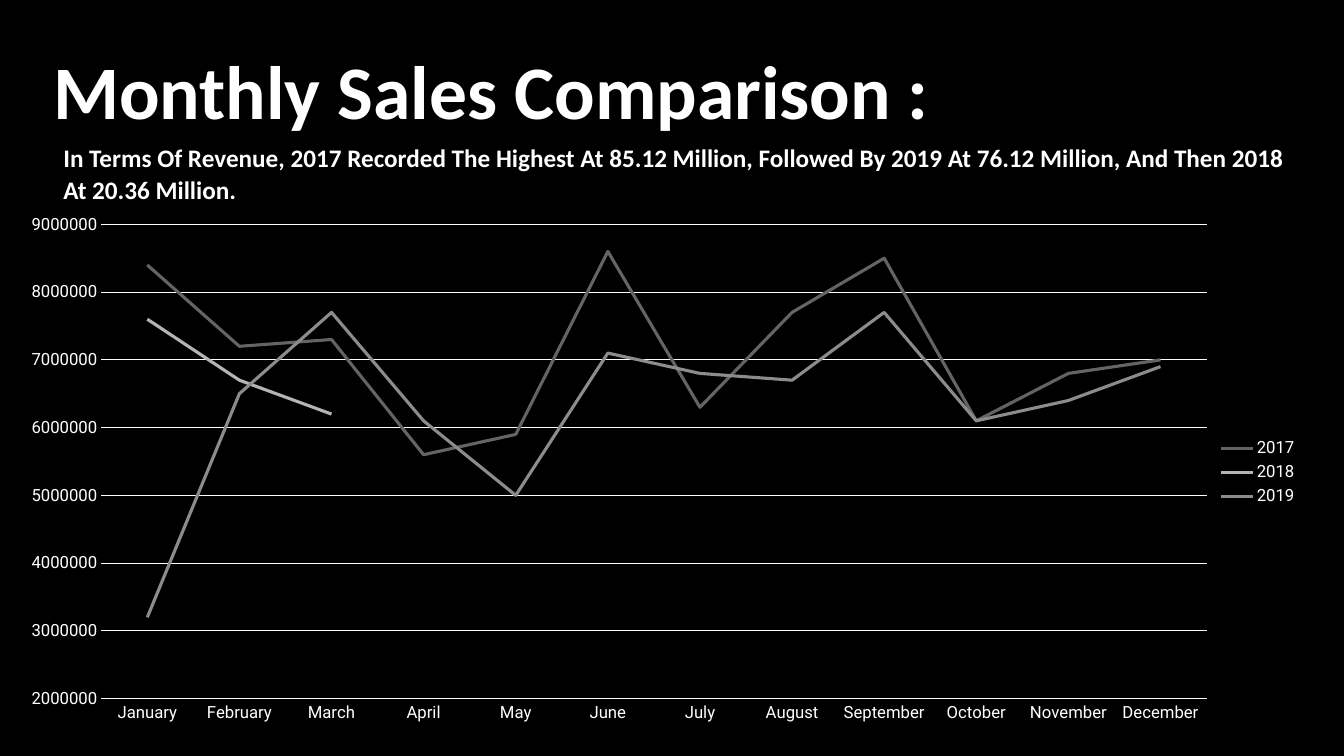
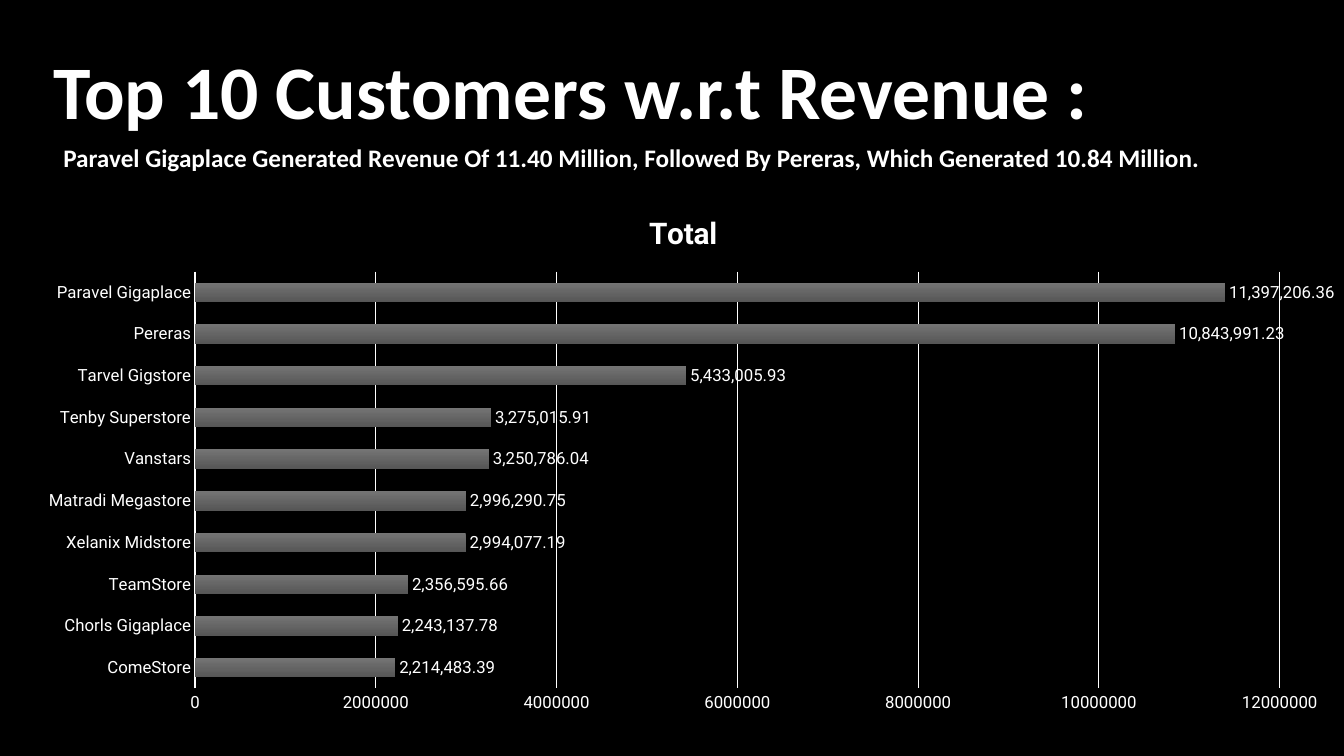
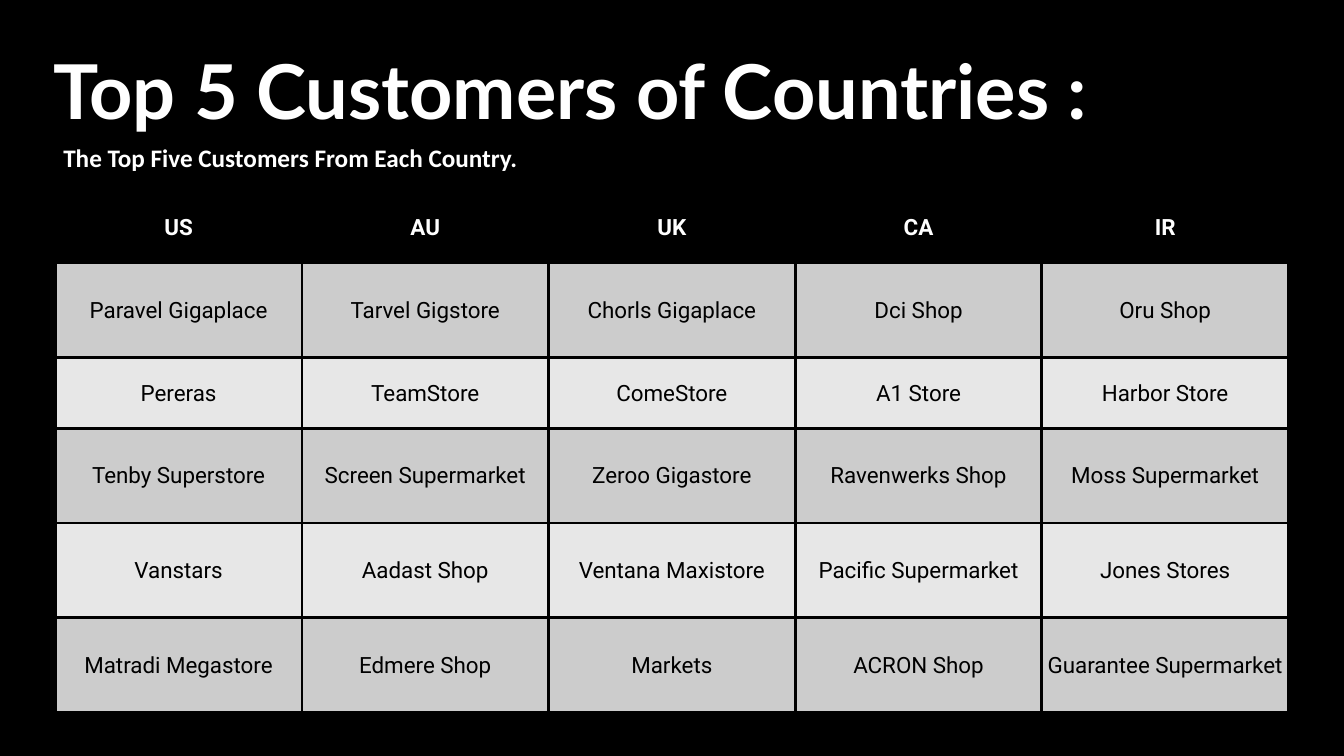
from lxml.etree import SubElement
from pptx import Presentation
from pptx.chart.data import CategoryChartData
from pptx.dml.color import RGBColor
from pptx.enum.chart import XL_CHART_TYPE, XL_LABEL_POSITION, XL_LEGEND_POSITION, XL_TICK_MARK
from pptx.enum.text import MSO_ANCHOR, MSO_AUTO_SIZE, PP_ALIGN
from pptx.oxml import parse_xml
from pptx.oxml.ns import nsdecls, qn
from pptx.util import Pt

BLACK = RGBColor(0x00, 0x00, 0x00)
WHITE = RGBColor(0xFF, 0xFF, 0xFF)
BAND_DARK = RGBColor(0xCC, 0xCC, 0xCC)
BAND_LIGHT = RGBColor(0xE7, 0xE7, 0xE7)
BAR_TOP = RGBColor(0x74, 0x74, 0x74)
BAR_BOTTOM = RGBColor(0x56, 0x56, 0x56)
YEAR_COLORS = (
    RGBColor(0x64, 0x64, 0x64),
    RGBColor(0xB4, 0xB4, 0xB4),
    RGBColor(0x8C, 0x8C, 0x8C),
)
HEAD_FONT = "Calibri"
DATA_FONT = "Roboto"

TITLE_BOX = (38, 31, 784, 65.5)
NOTE_LEFT, NOTE_TOP, NOTE_WIDTH = 38, 96.5, 896

MONTHS = ["January", "February", "March", "April", "May", "June", "July",
          "August", "September", "October", "November", "December"]
MONTHLY_SALES_MILLIONS = {
    "2017": [8.4, 7.2, 7.3, 5.6, 5.9, 8.6, 6.3, 7.7, 8.5, 6.1, 6.8, 7.0],
    "2018": [7.6, 6.7, 6.2] + [None] * 9,
    "2019": [3.2, 6.5, 7.7, 6.1, 5.0, 7.1, 6.8, 6.7, 7.7, 6.1, 6.4, 6.9],
}
CUSTOMER_REVENUE = {
    "ComeStore": 2214483.39,
    "Chorls Gigaplace": 2243137.78,
    "TeamStore": 2356595.66,
    "Xelanix Midstore": 2994077.19,
    "Matradi Megastore": 2996290.75,
    "Vanstars": 3250786.04,
    "Tenby Superstore": 3275015.91,
    "Tarvel Gigstore": 5433005.93,
    "Pereras": 10843991.23,
    "Paravel Gigaplace": 11397206.36,
}
COUNTRY_CUSTOMERS = {
    "US": ["Paravel Gigaplace", "Pereras", "Tenby Superstore", "Vanstars", "Matradi Megastore"],
    "AU": ["Tarvel Gigstore", "TeamStore", "Screen Supermarket", "Aadast Shop", "Edmere Shop"],
    "UK": ["Chorls Gigaplace", "ComeStore", "Zeroo Gigastore", "Ventana Maxistore", "Markets"],
    "CA": ["Dci Shop", "A1 Store", "Ravenwerks Shop", "Pacific Supermarket", "ACRON Shop"],
    "IR": ["Oru Shop", "Harbor Store", "Moss Supermarket", "Jones Stores", "Guarantee Supermarket"],
}


def style_font(font, size, color=WHITE, bold=False, name=DATA_FONT):
    font.name = name
    font.size = Pt(size)
    font.bold = bold
    font.color.rgb = color


def place(sp, box):
    sp.left, sp.top, sp.width, sp.height = map(Pt, box)


def fill_placeholder(sp, box, text, size, font_name):
    place(sp, box)
    tf = sp.text_frame
    tf.word_wrap = True
    tf.auto_size = MSO_AUTO_SIZE.SHAPE_TO_FIT_TEXT
    tf.vertical_anchor = MSO_ANCHOR.TOP
    p = tf.paragraphs[0]
    p.alignment = PP_ALIGN.LEFT
    p.space_before = Pt(0)
    r = p.add_run()
    r.text = text
    style_font(r.font, size, bold=True, name=font_name)
    return tf


def add_headed_slide(prs, title, note, note_height=29.5, title_font=HEAD_FONT):
    s = prs.slides.add_slide(prs.slide_layouts[1])
    tf = fill_placeholder(s.shapes.title, TITLE_BOX, title, 54, title_font)
    tf.margin_left = tf.margin_top = tf.margin_right = tf.margin_bottom = 0
    note_box = (NOTE_LEFT, NOTE_TOP, NOTE_WIDTH, note_height)
    tf = fill_placeholder(s.placeholders[1], note_box, note, 18, HEAD_FONT)
    p = tf.paragraphs[0]
    p.line_spacing = 1.07
    p.space_after = Pt(8)
    pPr = p._p.get_or_add_pPr()
    pPr.set("marL", "0")
    pPr.set("indent", "0")
    SubElement(pPr, qn("a:buNone"))
    return s


def add_styled_chart(s, box, kind, categories, series, low, high, step):
    data = CategoryChartData()
    data.categories = categories
    for name, values in series.items():
        data.add_series(name, values)
    chart = s.shapes.add_chart(kind, *map(Pt, box), data).chart
    style_font(chart.font, 12)
    chart.has_title = False
    chart.has_legend = False
    chart.plots[0].vary_by_categories = False
    for axis in (chart.category_axis, chart.value_axis):
        axis.major_tick_mark = axis.minor_tick_mark = XL_TICK_MARK.NONE
        style_font(axis.tick_labels.font, 12)
    line = chart.category_axis.format.line
    line.color.rgb = WHITE
    line.width = Pt(0.75)
    axis = chart.value_axis
    axis.minimum_scale, axis.maximum_scale, axis.major_unit = low, high, step
    axis.tick_labels.number_format = "General"
    axis.tick_labels.number_format_is_linked = False
    axis.format.line.fill.background()
    axis.has_major_gridlines = True
    line = axis.major_gridlines.format.line
    line.color.rgb = WHITE
    line.width = Pt(0.75)
    return chart


def set_inner_plot(chart, x, y, w, h):
    plot_area = chart._chartSpace.chart.plotArea
    for layout in plot_area.findall(qn("c:layout")):
        plot_area.remove(layout)
    plot_area.insert(0, parse_xml(
        f'<c:layout {nsdecls("c")}><c:manualLayout><c:layoutTarget val="inner"/>'
        '<c:xMode val="edge"/><c:yMode val="edge"/>'
        f'<c:x val="{x}"/><c:y val="{y}"/><c:w val="{w}"/><c:h val="{h}"/>'
        '</c:manualLayout></c:layout>'))


def add_monthly_chart(s, box):
    sales = {year: [None if v is None else round(v * 1000000) for v in values]
             for year, values in MONTHLY_SALES_MILLIONS.items()}
    chart = add_styled_chart(s, box, XL_CHART_TYPE.LINE, MONTHS, sales,
                             2000000, 9000000, 1000000)
    set_inner_plot(chart, 0.05, 0.03, 0.87, 0.9)
    for series, color in zip(chart.plots[0].series, YEAR_COLORS):
        series.smooth = False
        series.format.line.color.rgb = color
        series.format.line.width = Pt(2.25)
    chart.has_legend = True
    chart.legend.position = XL_LEGEND_POSITION.RIGHT
    chart.legend.include_in_layout = False
    style_font(chart.legend.font, 12)


def add_revenue_chart(s, box):
    chart = add_styled_chart(s, box, XL_CHART_TYPE.BAR_CLUSTERED, list(CUSTOMER_REVENUE),
                             {"Total": list(CUSTOMER_REVENUE.values())},
                             0, 12000000, 2000000)
    chart.category_axis.format.line.width = Pt(1)
    chart.has_title = True
    r = chart.chart_title.text_frame.paragraphs[0].add_run()
    r.text = "Total"
    style_font(r.font, 21.3, bold=True)
    plot = chart.plots[0]
    plot.gap_width = 115
    plot.overlap = -20
    fill = plot.series[0].format.fill
    fill.gradient()
    fill.gradient_angle = 270
    for stop, position, color in zip(fill.gradient_stops, (0, 1), (BAR_TOP, BAR_BOTTOM)):
        stop.position = position
        stop.color.rgb = color
    plot.has_data_labels = True
    labels = plot.data_labels
    labels.show_value = True
    labels.position = XL_LABEL_POSITION.OUTSIDE_END
    labels.number_format = "#,##0.00"
    labels.number_format_is_linked = False
    style_font(labels.font, 12)


def add_cell_borders(cell, color, width):
    tcPr = cell._tc.get_or_add_tcPr()
    for side in ("lnL", "lnR", "lnT", "lnB"):
        ln = SubElement(tcPr, qn(f"a:{side}"), w=str(Pt(width)))
        solid = SubElement(ln, qn("a:solidFill"))
        SubElement(solid, qn("a:srgbClr"), val=str(color))


def fill_cell(cell, text, background, color, bold):
    add_cell_borders(cell, BLACK, 2.25)
    cell.fill.solid()
    cell.fill.fore_color.rgb = background
    cell.vertical_anchor = MSO_ANCHOR.MIDDLE
    cell.margin_left = cell.margin_right = cell.margin_top = Pt(0.7)
    cell.margin_bottom = 0
    p = cell.text_frame.paragraphs[0]
    p.alignment = PP_ALIGN.CENTER
    r = p.add_run()
    r.text = text
    style_font(r.font, 16, color, bold)


def add_country_table(s, box):
    rows = [list(COUNTRY_CUSTOMERS), *zip(*COUNTRY_CUSTOMERS.values())]
    table = s.shapes.add_table(len(rows), len(rows[0]), *map(Pt, box)).table
    short_row = 50.4
    tall_row = (box[3] - 2 * short_row) / (len(rows) - 2)
    for column in table.columns:
        column.width = Pt(box[2] / len(rows[0]))
    for i, names in enumerate(rows):
        table.rows[i].height = Pt(short_row if i in (0, 2) else tall_row)
        if i == 0:
            look = (BLACK, WHITE, True)
        else:
            look = (BAND_DARK if i % 2 else BAND_LIGHT, BLACK, False)
        for j, name in enumerate(names):
            fill_cell(table.cell(i, j), name, *look)


def main():
    prs = Presentation()
    prs.slide_width, prs.slide_height = Pt(960), Pt(540)
    background = prs.slide_master.background.fill
    background.solid()
    background.fore_color.rgb = BLACK

    s = add_headed_slide(
        prs, "Monthly Sales Comparison :",
        "In Terms Of Revenue, 2017 Recorded The Highest At 85.12 Million, Followed By "
        "2019 At 76.12 Million, And Then 2018 At 20.36 Million.", note_height=52.5)
    add_monthly_chart(s, (22.5, 149, 912, 376.5))

    s = add_headed_slide(
        prs, "Top 10 Customers w.r.t Revenue :",
        "Paravel Gigaplace Generated Revenue Of 11.40 Million, Followed By Pereras, "
        "Which Generated 10.84 Million.")
    add_revenue_chart(s, (16, 137.5, 944, 379))

    s = add_headed_slide(prs, "Top 5 Customers of Countries :",
                         "The Top Five Customers From Each Country.", title_font="Lato")
    add_country_table(s, (39.5, 137.5, 881, 371.5))

    prs.save("out.pptx")


if __name__ == "__main__":
    main()
